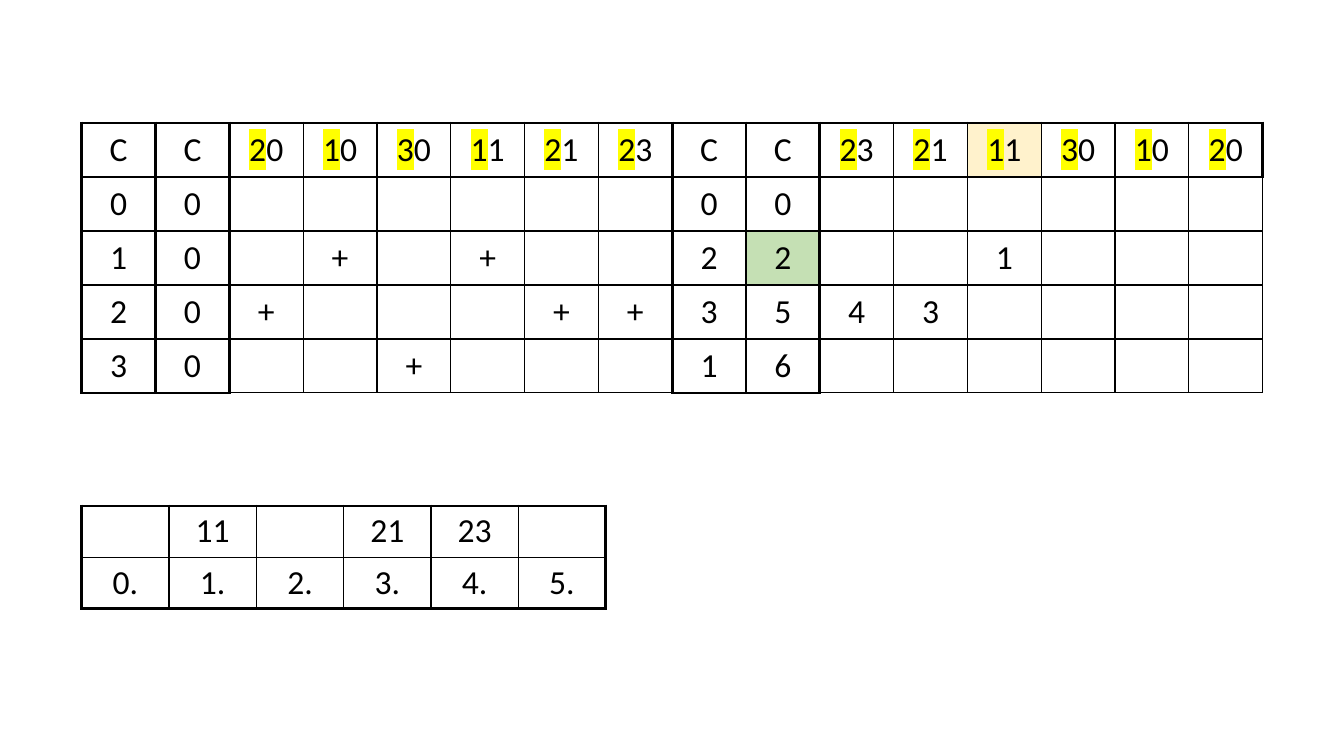
from lxml.etree import SubElement
from pptx import Presentation
from pptx.dml.color import RGBColor
from pptx.enum.text import MSO_ANCHOR, PP_ALIGN
from pptx.oxml.ns import qn
from pptx.util import Cm, Pt

COLORS = {"ink": "000000", "mark": "FFFF00", "sand": "FFF2CC", "green": "C5E0B4"}
THIN, THICK = Pt(1), Pt(2.25)

STEPS = [
    "C C 20 10 30 11 21 23 C C 23 21 11 30 10 20".split(),
    ["0", "0", *[""] * 6, "0", "0", *[""] * 6],
    ["1", "0", "", "+", "", "+", "", "", "2", "2", "", "", "1", "", "", ""],
    ["2", "0", "+", "", "", "", "+", "+", "3", "5", "4", "3", "", "", "", ""],
    ["3", "0", "", "", "+", "", "", "", "1", "6", *[""] * 6],
]
STEP_FILLS = {(0, 12): "sand", (2, 9): "green"}
COUNTS = (0, 1, 8, 9)

RESULT = [["", "11", "", "21", "23", ""], [f"{i}." for i in range(6)]]


def rgb(name):
    return RGBColor.from_string(COLORS[name])


def style(run, marked=False):
    run.font.size = Pt(24)
    run.font.name = "Calibri"
    run.font.color.rgb = rgb("ink")
    if marked:
        props = run.font.fill._xPr
        light = SubElement(props, qn("a:highlight"))
        SubElement(light, qn("a:srgbClr"), val=COLORS["mark"])
        props.find(qn("a:solidFill")).addnext(light)


def write(cell, text, marked):
    """Centre the text; a marked cell has its first digit highlighted."""
    cell.vertical_anchor = MSO_ANCHOR.MIDDLE
    para = cell.text_frame.paragraphs[0]
    para.alignment = PP_ALIGN.CENTER
    parts = [text[0], text[1:]] if marked else [text]
    for i, part in enumerate(parts):
        if part:
            run = para.add_run()
            run.text = part
            style(run, marked and i == 0)


def edge(cell, widths):
    """Draw the left, right, top and bottom borders."""
    props = cell._tc.get_or_add_tcPr()
    for i, (side, width) in enumerate(zip("LRTB", widths)):
        line = SubElement(props, qn(f"a:ln{side}"), w=str(width))
        fill = SubElement(line, qn("a:solidFill"))
        SubElement(fill, qn("a:srgbClr"), val=COLORS["ink"])
        props.insert(i, line)


def grid(slide, box, data, upright, level, fills=None, pad=None, marks=False):
    """Fill box with a table; upright and level tell which grid lines are thick."""
    left, top, width, height = map(Cm, box)
    rows, cols = len(data), len(data[0])
    table = slide.shapes.add_table(rows, cols, left, top, width, height).table
    table.first_row = table.horz_banding = False
    for r, line in enumerate(data):
        for c, text in enumerate(line):
            cell = table.cell(r, c)
            if pad:
                cell.margin_left = cell.margin_right = Cm(pad[0])
                cell.margin_top = cell.margin_bottom = Cm(pad[1])
            write(cell, text, marks and len(text) == 2)
            name = (fills or {}).get((r, c))
            if name:
                cell.fill.solid()
                cell.fill.fore_color.rgb = rgb(name)
            else:
                cell.fill.background()
            heavy = (upright(r, c), upright(r, c + 1), level(r, c), level(r + 1, c))
            edge(cell, [THICK if bold else THIN for bold in heavy])


def steps(slide, box):
    sides = {n for c in COUNTS for n in (c, c + 1)}
    grid(slide, box, STEPS,
         upright=lambda r, x: x in sides or (r == 0 and x == 16),
         level=lambda y, c: y < 2 or (y == 5 and c in COUNTS),
         fills=STEP_FILLS, pad=(0.33, 0.16), marks=True)


def result(slide, box):
    grid(slide, box, RESULT,
         upright=lambda r, x: x in (0, 6),
         level=lambda y, c: y in (0, 2))


def main():
    deck = Presentation()
    deck.slide_width, deck.slide_height = Cm(33.87), Cm(19.05)
    slide = deck.slides.add_slide(deck.slide_layouts[6])
    result(slide, (2.06, 12.75, 13.2, 2.54))
    steps(slide, (2.06, 3.1, 29.76, 6.8))
    deck.save("out.pptx")


if __name__ == "__main__":
    main()
